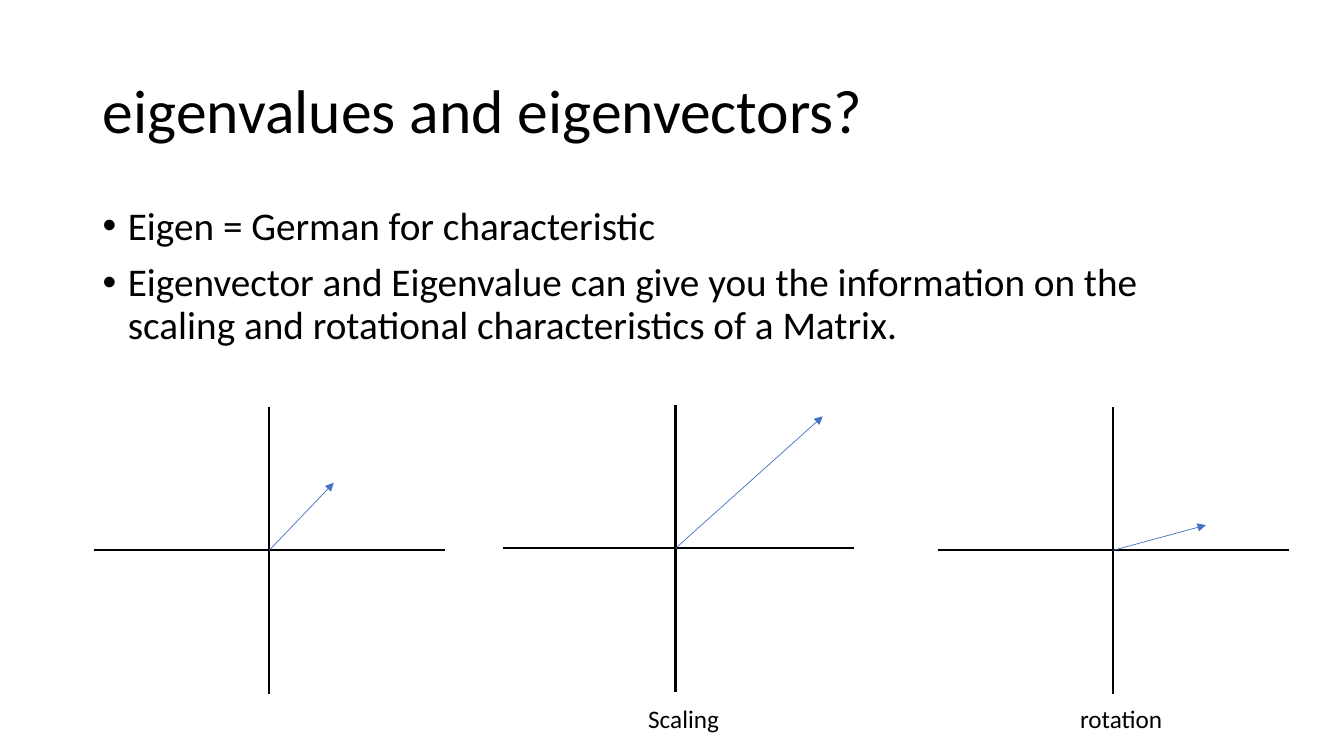
from lxml.etree import SubElement
from pptx import Presentation
from pptx.dml.color import RGBColor
from pptx.enum.shapes import MSO_CONNECTOR
from pptx.enum.text import MSO_ANCHOR, PP_ALIGN
from pptx.oxml.ns import qn
from pptx.util import Inches, Pt

TITLE = "eigenvalues and eigenvectors?"
POINTS = [
    "Eigen = German for characteristic",
    "Eigenvector and Eigenvalue can give you the information on the "
    "scaling and rotational characteristics of a Matrix.",
]
PLOTS = [
    {"origin": (2.67, 5.46), "left": 0.93, "arrow": (0.64, 0.67), "label": ""},
    {"origin": (6.7, 5.44), "left": 4.99, "arrow": (1.46, 1.31), "label": "Scaling"},
    {"origin": (11.04, 5.46), "left": 9.3, "arrow": (0.92, 0.25), "label": "rotation"},
]
WIDE, HIGH = 13.33, 7.5
MARGIN = 0.92
SPAN, RISE, DROP = 3.48, 1.42, 1.43
LABEL_TOP, LABEL_WIDE, LABEL_SHIFT = 6.93, 1.2, 0.08
BLACK, BLUE = "000000", "4472C4"


def paint(code):
    """Turn a hex string into a colour."""
    return RGBColor.from_string(code)


def write(para, text, size):
    """Add one run of black text to a paragraph."""
    run = para.add_run()
    run.text = text
    run.font.name = "Calibri"
    run.font.size = Pt(size)
    run.font.color.rgb = paint(BLACK)


def add_box(slide, left, top, width, height):
    """Add a wrapping text box and return its frame."""
    box = slide.shapes.add_textbox(*map(Inches, (left, top, width, height)))
    box.text_frame.word_wrap = True
    return box.text_frame


def add_title(slide):
    """Place and fill the title."""
    title = slide.shapes.title
    title.left, title.top = Inches(MARGIN), Inches(0.4)
    title.width, title.height = Inches(WIDE - 2 * MARGIN), Inches(1.45)
    frame = title.text_frame
    frame.vertical_anchor = MSO_ANCHOR.MIDDLE
    para = frame.paragraphs[0]
    para.alignment = PP_ALIGN.LEFT
    para.line_spacing = 0.9
    write(para, TITLE, 44)


def add_points(slide):
    """Add the bulleted points."""
    frame = add_box(slide, MARGIN, 2, WIDE - 2 * MARGIN, 1.6)
    for i, text in enumerate(POINTS):
        para = frame.add_paragraph() if i else frame.paragraphs[0]
        para.line_spacing = 0.9
        para.space_before = Pt(10 if i else 0)
        props = para._p.get_or_add_pPr()
        props.set("marL", str(Inches(0.25)))
        props.set("indent", str(-Inches(0.25)))
        SubElement(props, qn("a:buFont"), typeface="Arial")
        SubElement(props, qn("a:buChar"), char="•")
        write(para, text, 28)


def add_line(slide, start, end, color, width, arrow=False):
    """Draw a straight line, with an arrowhead at its end if asked."""
    line = slide.shapes.add_connector(
        MSO_CONNECTOR.STRAIGHT, *map(Inches, (*start, *end)))
    line.line.color.rgb = paint(color)
    line.line.width = Pt(width)
    if arrow:
        SubElement(line.line._get_or_add_ln(), qn("a:tailEnd"), type="triangle")
    SubElement(line._element.spPr, qn("a:effectLst"))


def add_plot(slide, origin, left, arrow, label):
    """Draw a pair of axes, a vector and its label."""
    x, y = origin
    add_line(slide, (x, y - RISE), (x, y + DROP), BLACK, 1.5)
    add_line(slide, (left, y), (left + SPAN, y), BLACK, 1.5)
    add_line(slide, origin, (x + arrow[0], y - arrow[1]), BLUE, 0.5, True)
    if label:
        mid = x + LABEL_SHIFT
        frame = add_box(slide, mid - LABEL_WIDE / 2, LABEL_TOP, LABEL_WIDE, 0.4)
        frame.paragraphs[0].alignment = PP_ALIGN.CENTER
        write(frame.paragraphs[0], label, 18)


def main():
    """Build and save the slide."""
    deck = Presentation()
    deck.slide_width, deck.slide_height = Inches(WIDE), Inches(HIGH)
    slide = deck.slides.add_slide(deck.slide_layouts[5])
    add_title(slide)
    add_points(slide)
    for plot in PLOTS:
        add_plot(slide, **plot)
    deck.save("out.pptx")


if __name__ == "__main__":
    main()
